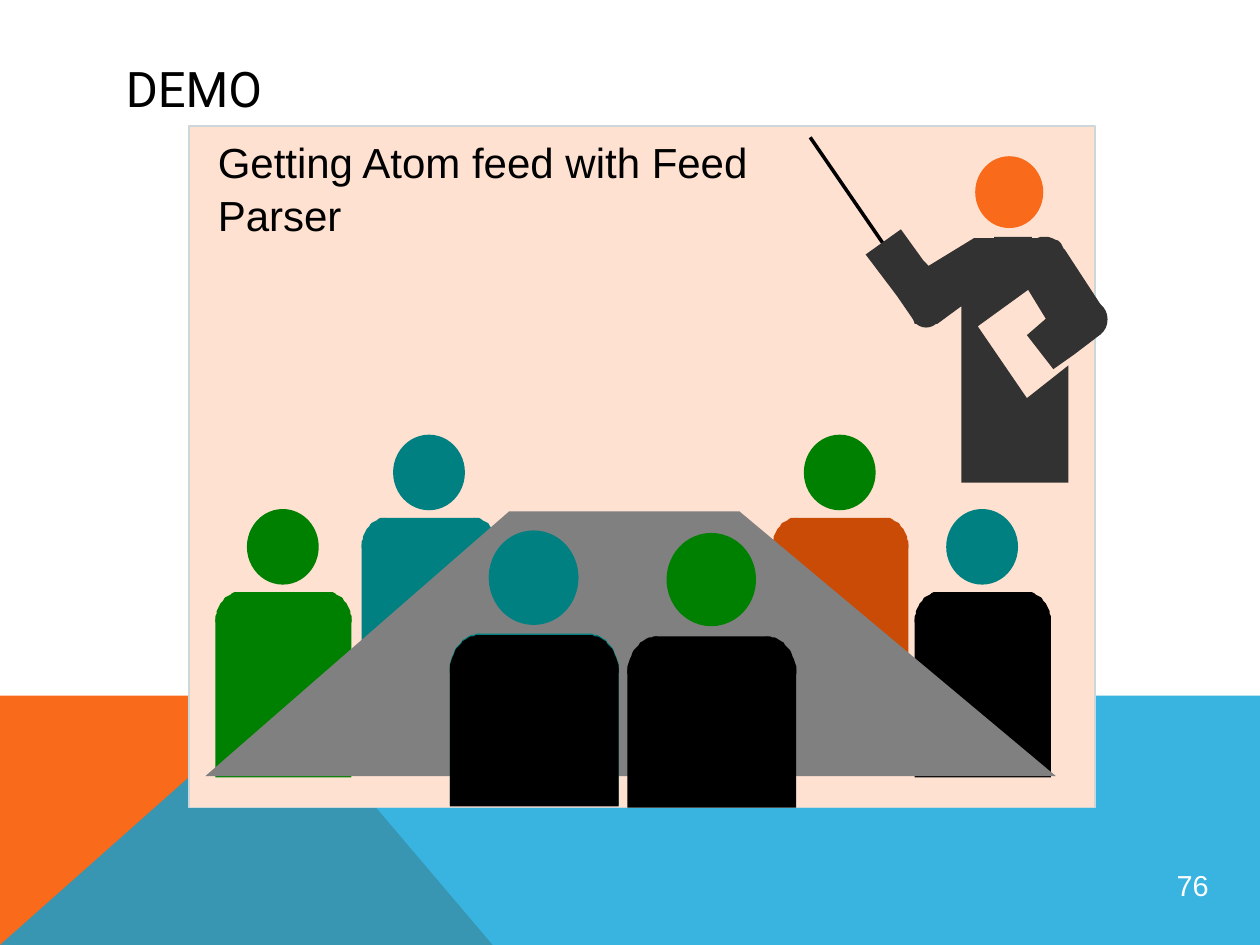
import math
from lxml import etree
from pptx import Presentation, util as u
from pptx.dml.color import RGBColor
from pptx.enum import shapes, text
from pptx.oxml.ns import qn

PX = 9144  # EMU per px, 100 px to the inch
C = dict(white="FFFFFF", black="000000", orange="F96A1B", blue="08A1D9",
         peach="FEE1D1", edge="CDD7D9", suit="323232", teal="008080",
         green="008000", rust="CA4B05", table="808080")
RECT, OVAL = shapes.MSO_SHAPE.RECTANGLE, shapes.MSO_SHAPE.OVAL


def rgb(name):
    return RGBColor.from_string(C[name])


def paint(sp, fill=None, line=None, width=1):
    sp.shadow.inherit = False
    if fill:
        sp.fill.solid()
        sp.fill.fore_color.rgb = rgb(fill)
    else:
        sp.fill.background()
    if line:
        sp.line.color.rgb = rgb(line)
        sp.line.width = u.Pt(width)
    else:
        sp.line.fill.background()
    return sp


def shape(s, kind, x, y, w, h, fill=None, **fmt):
    sp = s.shapes.add_shape(kind, *(round(v) * PX for v in (x, y, w, h)))
    return paint(sp, fill, **fmt)


def outline(s, pts, fill, x=0, y=0):
    pts = [(x + px, y + py) for px, py in pts]
    fb = s.shapes.build_freeform(*pts[0], scale=PX)
    fb.add_line_segments(pts[1:], close=True)
    return paint(fb.convert_to_shape(), fill)


def sector(s, cx, cy, rx, ry, start, end, fill):
    """Pie slice of an ellipse; degrees run clockwise from the right."""
    steps = 16
    angles = [math.radians(start + (end - start) * i / steps) for i in range(steps + 1)]
    arc = [(cx + rx * math.cos(a), cy + ry * math.sin(a)) for a in angles]
    return outline(s, [(cx, cy)] + arc, fill)


def write(sp, words, size, font="Arial", color="black", align=text.PP_ALIGN.LEFT,
          anchor=text.MSO_ANCHOR.TOP, spacing=None, inset=None):
    tf = sp.text_frame
    tf.word_wrap = True
    tf.vertical_anchor = anchor
    if inset is not None:
        tf.margin_left = tf.margin_right = tf.margin_top = tf.margin_bottom = inset * PX
    p = tf.paragraphs[0]
    p.alignment = align
    if spacing:
        p.line_spacing = spacing
    r = p.add_run()
    r.text = words
    r.font.size, r.font.name, r.font.color.rgb = u.Pt(size), font, rgb(color)


def textbox(s, x, y, w, h, words, size, **fmt):
    write(s.shapes.add_textbox(x * PX, y * PX, w * PX, h * PX), words, size, **fmt)


def footer(s, x, y, w, h, number):
    """Two crossing bands and the slide number."""
    fold = 223
    outline(s, [(0, h), (0, 0), (fold, 0), (391, h)], "orange", x, y)
    band = outline(s, [(0, h), (fold, 0), (w, 0), (w, h)], "blue", x, y)
    clr = band.fill._xPr.find(qn("a:solidFill"))[0]
    etree.SubElement(clr, qn("a:alpha"), val="80000")
    badge = shape(s, OVAL, x + 919, y + 123, 55, 55, line="white", width=1.5)
    # the ring belongs to the band and is not seen against it
    badge.line.fill.background()
    write(badge, number, 16.5, color="white", align=text.PP_ALIGN.CENTER,
          anchor=text.MSO_ANCHOR.MIDDLE, inset=1)


def presenter(s, x, y):
    """Speaker with a pointer; x, y is the pointer's tip."""
    stick = s.shapes.add_connector(shapes.MSO_CONNECTOR.STRAIGHT, (x + 68) * PX,
                                   (y + 99) * PX, x * PX, y * PX)
    stick.line.color.rgb = rgb("black")
    stick.line.width = u.Pt(2)
    etree.SubElement(stick._element.spPr, qn("a:effectLst"))
    shape(s, OVAL, x + 81, y + 131, 22, 20, "suit")
    shape(s, OVAL, x + 131, y + 15, 54, 57, "orange")
    body = [(176, 80), (187, 80), (202, 89), (232, 135), (231, 156), (210, 172),
            (193, 184), (172, 157), (187, 144), (173, 121), (133, 150), (172, 207),
            (205, 181), (205, 274), (120, 274), (120, 134), (101, 148), (83, 148),
            (82, 145), (69, 126), (44, 93), (72, 73), (90, 98), (94, 102), (130, 80)]
    outline(s, body, "suit", x, y)
    shape(s, OVAL, x + 214, y + 131, 22, 27, "suit")
    sector(s, x + 161, y + 79, 15, 13, 0, 180, "suit")  # collar
    sector(s, x + 187, y + 92, 15, 13, 222, 400, "suit")  # shoulder


def listener(s, x, y, w, h, head, body):
    """Seated person; the box is the torso, the head sits above it."""
    k = w / 108
    rx, ry = 19 * k, 24 * k
    shape(s, OVAL, x + 25 * k, y - 66 * k, 57 * k, 60 * k, head)
    shape(s, RECT, x + 18 * k, y, 72 * k, 30 * k, body)
    shape(s, RECT, x, y + 21 * k, w, h - 21 * k, body)
    sector(s, x + rx, y + ry, rx, ry, 180, 270, body)
    sector(s, x + w - rx, y + ry, rx, ry, 270, 360, body)


def meeting(s, x, y, w, h, words):
    """Panel with the speaker, the table and the people around it."""
    shape(s, RECT, x, y, w, h, "peach", line="edge", width=1)
    presenter(s, x + 493, y + 9)
    for dx, dy, head, body in [(576, 370, "teal", "black"), (463, 311, "green", "rust"),
                               (137, 311, "teal", "teal"), (21, 370, "green", "green")]:
        listener(s, x + dx, y + dy, 108, 147, head, body)
    outline(s, [(13, 516), (254, 306), (437, 306), (688, 516)], "table", x, y)
    for dx, dy, head, body in [(348, 405, "green", "black"), (207, 403, "teal", "teal"),
                               (207, 404, "teal", "black")]:
        listener(s, x + dx, y + dy, 134, 136, head, body)
    textbox(s, x + 13, y + 2, 511, 118, words, 24, spacing=1.04)


def main():
    prs = Presentation()
    prs.slide_width, prs.slide_height = 1000 * PX, 750 * PX
    s = prs.slides.add_slide(prs.slide_layouts[6])
    footer(s, 0, 552, 1000, 198, "76")
    meeting(s, 150, 100, 719, 541, "Getting Atom feed with Feed Parser")
    textbox(s, 90, 40, 823, 60, "DEMO", 28, font="Roboto",
            anchor=text.MSO_ANCHOR.MIDDLE)
    prs.save("out.pptx")


if __name__ == "__main__":
    main()
